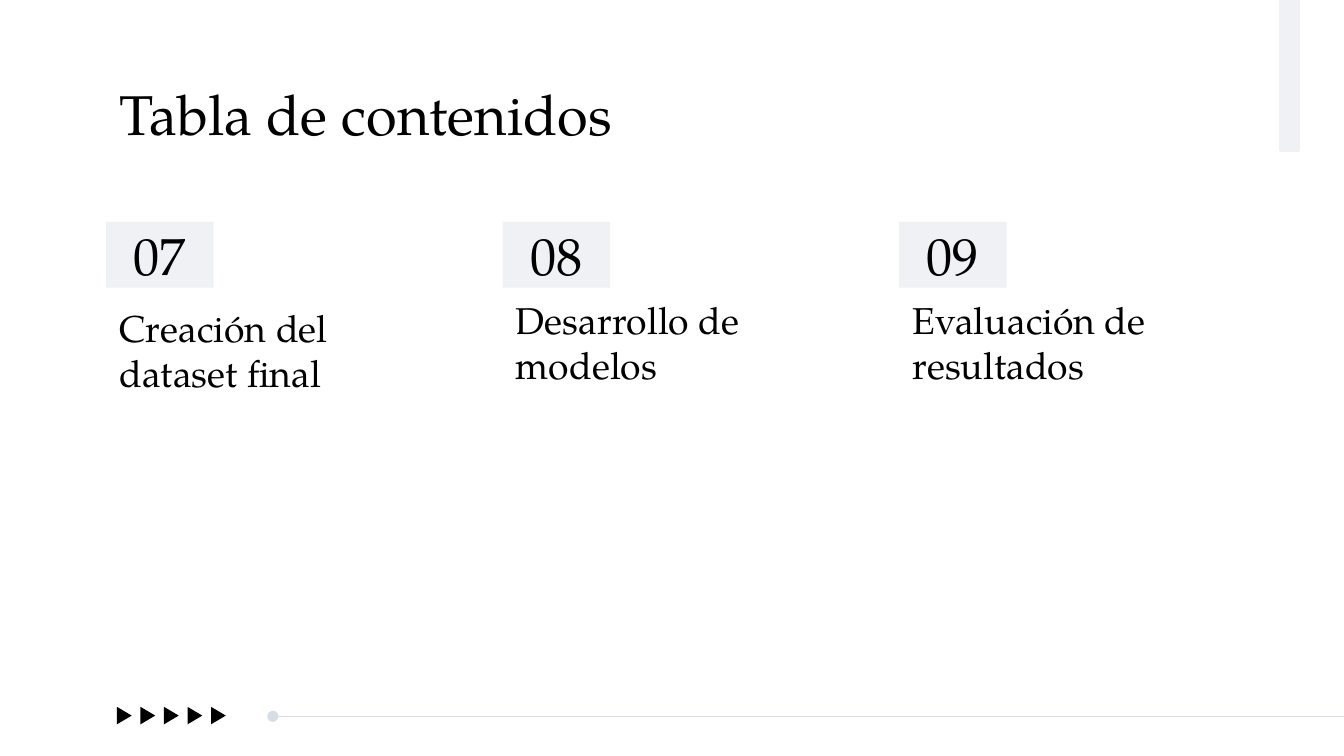
from dataclasses import dataclass

from lxml import etree
from pptx import Presentation, util as u
from pptx.dml.color import RGBColor
from pptx.enum import shapes, text
from pptx.oxml.ns import qn

FONT = "TeX Gyre Pagella"
COLORS = {"ink": "000000", "panel": "F0F1F5", "rule": "D8DCE5"}
WIDTH = 10
HEIGHT = WIDTH * 9 / 16
LEFT = 0.79          # left edge of the title and first column
PITCH = 2.95         # distance between columns
COLUMN_W = 2.52
NUMBER_TOP = 1.65


@dataclass
class Section:
    number: str
    label: str
    label_top: float


SECTIONS = [
    Section("07", "Creación del dataset final", 2.22),
    Section("08", "Desarrollo de modelos", 2.16),
    Section("09", "Evaluación de resultados", 2.16),
]


def color(name: str) -> RGBColor:
    return RGBColor.from_string(COLORS[name])


def write(s, words: str, size: float, align, anchor) -> None:
    tf = s.text_frame
    tf.text = words
    tf.word_wrap = True
    tf.auto_size = text.MSO_AUTO_SIZE.NONE
    tf.vertical_anchor = anchor
    tf.margin_left = tf.margin_right = u.Inches(0.1)
    tf.margin_top = tf.margin_bottom = u.Inches(0.1)
    p = tf.paragraphs[0]
    p.alignment = align
    font = p.runs[0].font
    font.name, font.size = FONT, u.Pt(size)
    font.color.rgb = color("ink")


def add_filled(sp, kind, left: float, top: float, width: float, height: float, fill: str):
    s = sp.add_shape(kind, *map(u.Inches, (left, top, width, height)))
    s.shadow.inherit = False
    s.fill.solid()
    s.fill.fore_color.rgb = color(fill)
    s.line.fill.background()
    return s


def add_section(sp, section: Section, column: int) -> None:
    left = LEFT + column * PITCH
    box = add_filled(sp, shapes.MSO_SHAPE.RECTANGLE, left, NUMBER_TOP, 0.8, 0.49, "panel")
    write(box, section.number, 28, text.PP_ALIGN.CENTER, text.MSO_ANCHOR.MIDDLE)
    label = sp.add_textbox(*map(u.Inches, (left, section.label_top, COLUMN_W, 0.82)))
    write(label, section.label, 20, text.PP_ALIGN.LEFT, text.MSO_ANCHOR.BOTTOM)


def add_dotted_rule(sp, left: float, right: float, y: float) -> None:
    s = sp.add_connector(shapes.MSO_CONNECTOR.STRAIGHT, *map(u.Inches, (left, y, right, y)))
    s.line.color.rgb = color("rule")
    s.line.width = u.Pt(0.75)
    etree.SubElement(s.line._get_or_add_ln(), qn("a:headEnd"), type="oval")
    etree.SubElement(s._element.spPr, qn("a:effectLst"))


def main() -> None:
    prs = Presentation()
    prs.slide_width, prs.slide_height = u.Inches(WIDTH), u.Inches(HEIGHT)
    slide = prs.slides.add_slide(prs.slide_layouts[5])
    sp = slide.shapes

    # Footer: row of arrows and a rule running off to the right edge
    for i in range(5):
        s = add_filled(sp, shapes.MSO_SHAPE.ISOSCELES_TRIANGLE,
                       0.86 + i * 0.7 / 4, 5.27, 0.13, 0.11, "ink")
        s.rotation = 90
    add_dotted_rule(sp, 2.03, WIDTH, 5.33)

    # Corner bar
    bar = add_filled(sp, shapes.MSO_SHAPE.RECTANGLE, 9.53, 0, 0.13, 1.12, "panel")
    bar.rotation = 180
    bar.line.color.rgb = color("panel")
    bar.line.width = u.Pt(1.5)

    # Title
    title = sp.title
    title.left, title.top, title.width, title.height = map(u.Inches, (LEFT, 0.49, 8.43, 0.63))
    write(title, "Tabla de contenidos", 30, text.PP_ALIGN.LEFT, text.MSO_ANCHOR.TOP)

    # Numbered sections
    for column, section in enumerate(SECTIONS):
        add_section(sp, section, column)

    prs.save("out.pptx")


if __name__ == "__main__":
    main()
